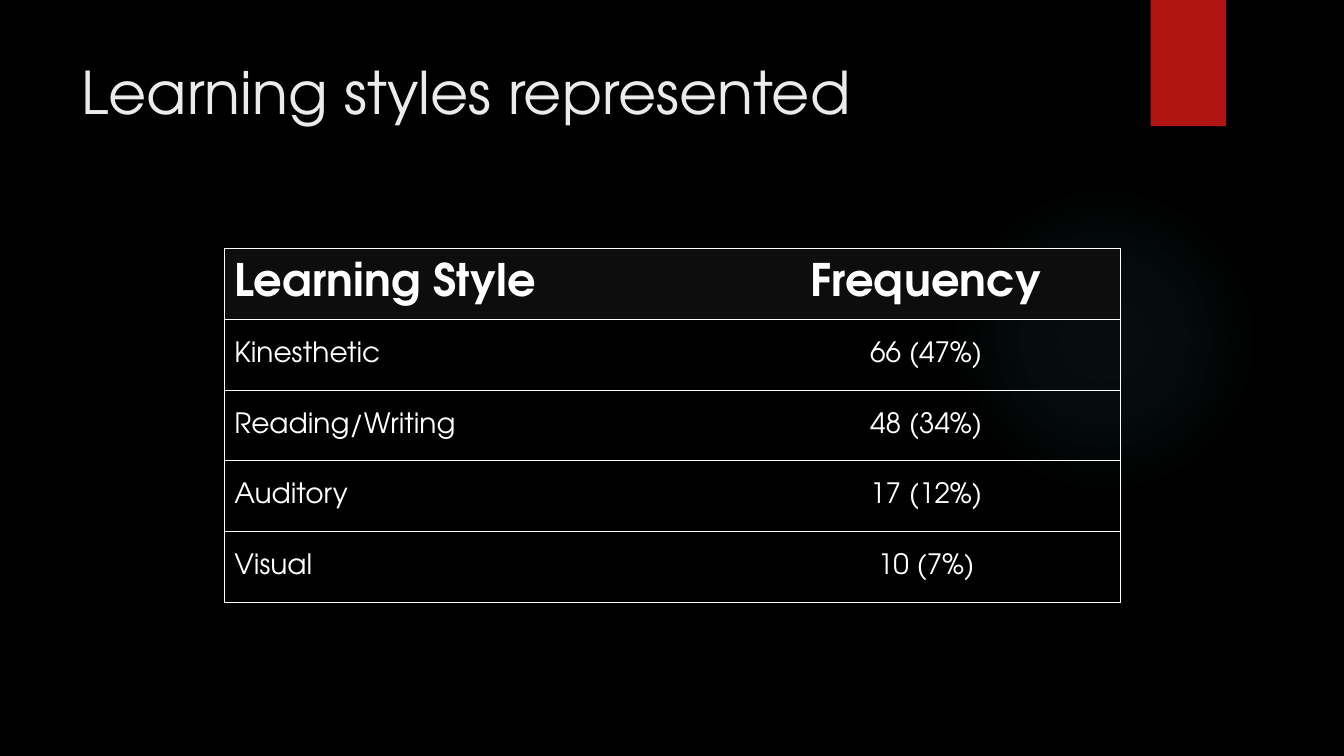
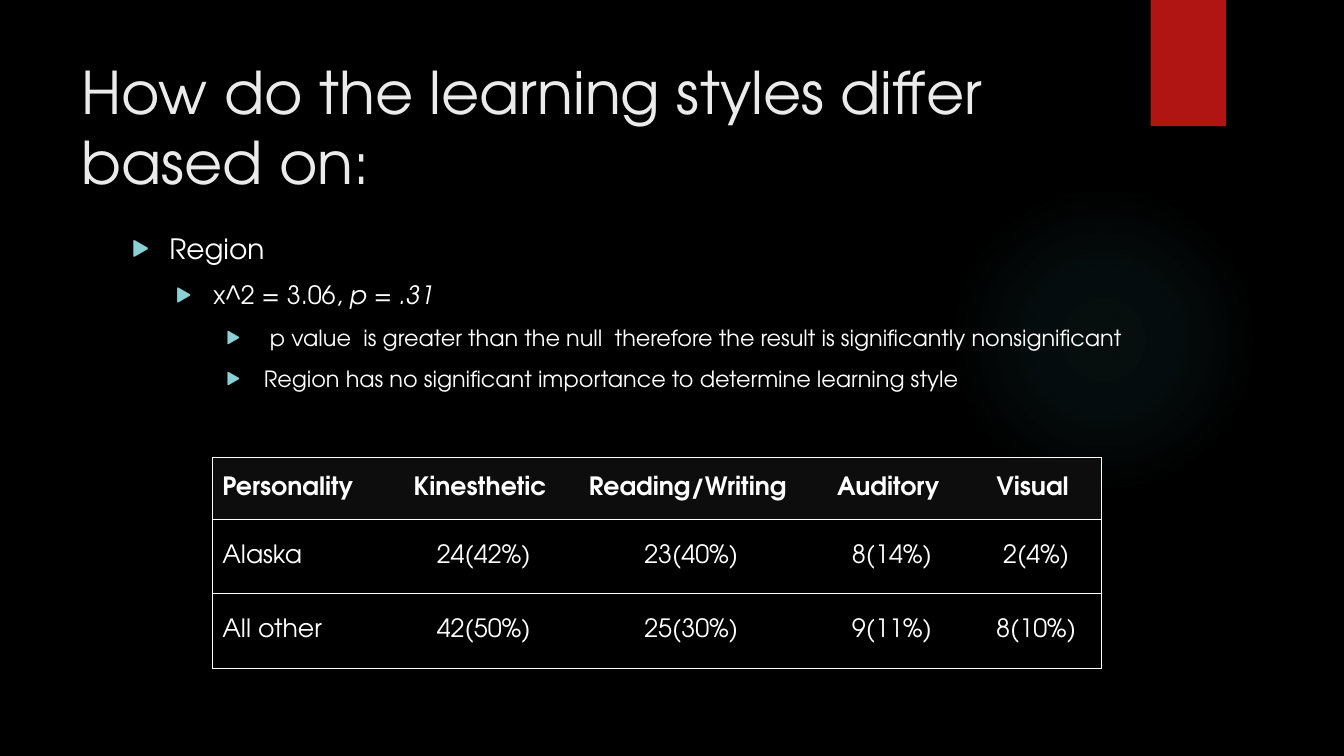
from lxml import etree
from pptx import Presentation
from pptx.dml.color import RGBColor
from pptx.enum import shapes, text
from pptx.oxml import parse_xml
from pptx.oxml.ns import nsdecls, qn
from pptx.util import Cm, Pt

FONT = "TeX Gyre Adventor"
COLOURS = {
    "background": "000000",
    "title": "EBEBEB",
    "text": "FFFFFF",
    "header": "0D0D0D",
    "tab": "B01513",
    "glow": "50B9C1",
    "bullet": "8AD0D6",
}
GLOW_STOPS = [(0, 7), (36, 6), (69, 0)]  # position and opacity, percent

# Level: text size in points, left indent in cm
LEVELS = {1: (20, 0.95), 2: (18, 2.06), 3: (16, 3.33)}
HANGING = 0.95

SLIDES = [
    {
        "title": "Learning styles represented",
        "title_width": 26.14,
        "table": {
            "left": 5.65, "top": 6.27,
            "columns": [12.8, 9.78],
            "heights": [1.78] * 5,
            "sizes": (32, 20),
            "rows": [
                ("Learning Style", "Frequency"),
                ("Kinesthetic", "66 (47%)"),
                ("Reading/Writing", "48 (34%)"),
                ("Auditory", "17 (12%)"),
                ("Visual", "10 (7%)"),
            ],
        },
    },
    {
        "title": "How do the learning styles differ based on:",
        "title_width": 27,
        "bullets": [
            (1, [("Region", False)]),
            (2, [("x^2 = 3.06, ", False), ("p = .31", True)]),
            (3, [(" p value  is greater than the null  therefore the result is "
                  "significantly nonsignificant", False)]),
            (3, [("Region has no significant importance to determine "
                  "learning style", False)]),
        ],
        "table": {
            "left": 5.35, "top": 11.53,
            "columns": [4.67, 4.34, 6.12, 3.99, 3.28],
            "heights": [1.55, 1.88, 1.88],
            "sizes": (18, 18),
            "rows": [
                ("Personality", "Kinesthetic ", "Reading/Writing ", "Auditory ", "Visual "),
                ("Alaska", "24(42%)", "23(40%)", "8(14%)", "2(4%)"),
                ("All other", "42(50%)", "25(30%)", "9(11%)", "8(10%)"),
            ],
        },
    },
]


def colour(name):
    return RGBColor.from_string(COLOURS[name])


def add_span(para, words, size, ink="text", bold=False, italic=False):
    span = para.add_run()
    span.text = words
    font = span.font
    font.name, font.size, font.bold, font.italic = FONT, Pt(size), bold, italic
    font.color.rgb = colour(ink)


def add_plain_shape(page, kind, left, top, width, height):
    shape = page.shapes.add_shape(kind, Cm(left), Cm(top), Cm(width), Cm(height))
    shape.shadow.inherit = False
    shape.line.fill.background()
    return shape


def add_decoration(page):
    glow = add_plain_shape(page, shapes.MSO_SHAPE.OVAL, 23.9, 4.65, 7.82, 7.82)
    glow.fill.background()
    stops = "".join(
        f'<a:gs pos="{place * 1000}"><a:srgbClr val="{COLOURS["glow"]}">'
        f'<a:alpha val="{opacity * 1000}"/></a:srgbClr></a:gs>'
        for place, opacity in GLOW_STOPS)
    gradient = parse_xml(
        f'<a:gradFill {nsdecls("a")} rotWithShape="1"><a:gsLst>{stops}</a:gsLst>'
        '<a:path path="circle"><a:fillToRect l="50000" t="50000" r="50000" b="50000"/>'
        '</a:path></a:gradFill>')
    properties = glow.element.spPr
    properties.replace(properties.find(qn("a:noFill")), gradient)

    tab = add_plain_shape(page, shapes.MSO_SHAPE.RECTANGLE, 29, 0, 1.9, 3.18)
    tab.fill.solid()
    tab.fill.fore_color.rgb = colour("tab")


def set_title(page, words, width):
    title = page.shapes.title
    title.left, title.top, title.width, title.height = Cm(1.8), Cm(1.27), Cm(width), Cm(3.89)
    frame = title.text_frame
    frame.word_wrap = True
    frame.auto_size = text.MSO_AUTO_SIZE.NONE
    frame.vertical_anchor = text.MSO_ANCHOR.TOP
    para = frame.paragraphs[0]
    para.alignment = text.PP_ALIGN.LEFT
    add_span(para, words, 42, "title")
    title.element.getparent().append(title.element)  # in front of the decoration


def set_bullet(para, indent):
    properties = para._p.get_or_add_pPr()
    properties.set("marL", str(Cm(indent)))
    properties.set("indent", str(-Cm(HANGING)))
    ink = etree.SubElement(properties, qn("a:buClr"))
    etree.SubElement(ink, qn("a:srgbClr"), val=COLOURS["bullet"])
    etree.SubElement(properties, qn("a:buSzPct"), val="80000")
    etree.SubElement(properties, qn("a:buFont"), typeface=FONT)
    etree.SubElement(properties, qn("a:buChar"), char="▶")


def add_bullets(page, items):
    box = page.shapes.add_textbox(Cm(3.07), Cm(5.72), Cm(27.86), Cm(5.5))
    frame = box.text_frame
    frame.word_wrap = True
    for index, (level, spans) in enumerate(items):
        para = frame.add_paragraph() if index else frame.paragraphs[0]
        size, indent = LEVELS[level]
        para.level = level - 1
        para.space_before = Pt(10)
        set_bullet(para, indent)
        for words, italic in spans:
            add_span(para, words, size, italic=italic)


def set_borders(cell, visible):
    """Draw the named sides (L, R, T, B) and blank the others."""
    properties = cell._tc.get_or_add_tcPr()
    for index, side in enumerate("LRTB"):
        paint = (f'<a:solidFill><a:srgbClr val="{COLOURS["text"]}"/></a:solidFill>'
                 if side in visible else "<a:noFill/>")
        properties.insert(index, parse_xml(
            f'<a:ln{side} {nsdecls("a")} w="{Pt(0.75)}">{paint}</a:ln{side}>'))


def add_data_table(page, left, top, columns, heights, sizes, rows):
    table = page.shapes.add_table(
        len(rows), len(columns), Cm(left), Cm(top),
        Cm(sum(columns)), Cm(sum(heights))).table
    table.horz_banding = False
    for column, width in zip(table.columns, columns):
        column.width = Cm(width)
    for row, height in zip(table.rows, heights):
        row.height = Cm(height)
    for r, row in enumerate(rows):
        for c, words in enumerate(row):
            cell = table.cell(r, c)
            cell.vertical_anchor = text.MSO_ANCHOR.MIDDLE
            if r == 0:
                cell.fill.solid()
                cell.fill.fore_color.rgb = colour("header")
            else:
                cell.fill.background()
            sides = "TB" + ("L" if c == 0 else "") + ("R" if c == len(columns) - 1 else "")
            set_borders(cell, sides)
            para = cell.text_frame.paragraphs[0]
            para.alignment = text.PP_ALIGN.CENTER if c else text.PP_ALIGN.LEFT
            add_span(para, words, sizes[min(r, 1)], bold=r == 0)


def main():
    deck = Presentation()
    deck.slide_width, deck.slide_height = Cm(33.87), Cm(19.05)
    backdrop = deck.slide_master.background.fill
    backdrop.solid()
    backdrop.fore_color.rgb = colour("background")
    title_only = deck.slide_layouts.get_by_name("Title Only")
    for content in SLIDES:
        page = deck.slides.add_slide(title_only)
        add_decoration(page)
        set_title(page, content["title"], content["title_width"])
        if "bullets" in content:
            add_bullets(page, content["bullets"])
        add_data_table(page, **content["table"])
    deck.save("out.pptx")


if __name__ == "__main__":
    main()
